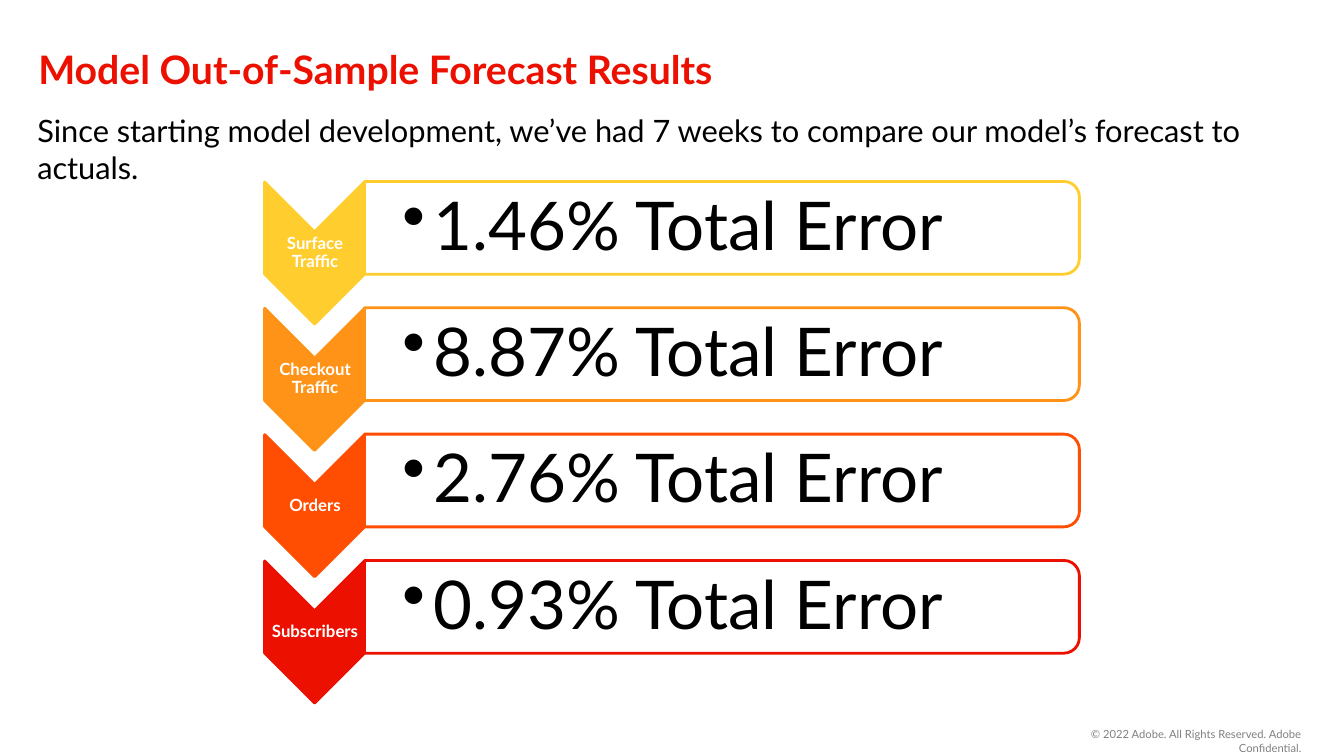
import pptx
import pptx.util
import pptx.dml.color
import pptx.enum.shapes
import pptx.enum.text
import pptx.oxml
import pptx.oxml.ns
import lxml.etree

Inches = pptx.util.Inches
Pt = pptx.util.Pt
RGBColor = pptx.dml.color.RGBColor
MSO_SHAPE = pptx.enum.shapes.MSO_SHAPE
PP_ALIGN = pptx.enum.text.PP_ALIGN
MSO_ANCHOR = pptx.enum.text.MSO_ANCHOR
qn = pptx.oxml.ns.qn

THEME = {
    "font": "Lato",
    "red": "EB1000",
    "black": "000000",
    "white": "FFFFFF",
    "gray": "808080",
    "title": 28,
    "body": 22,
    "label": 12,
    "result": 48,
    "footer": 8,
}
METRICS = [
    ("Surface Traffic", "1.46% Total Error", "FFCE2E"),
    ("Checkout Traffic", "8.87% Total Error", "FF9318"),
    ("Orders", "2.76% Total Error", "FF4E02"),
    ("Subscribers", "0.93% Total Error", THEME["red"]),
]
ROW_PITCH = 1.2533


def write_text(shape, box, text, size, color, bold=False, align=PP_ALIGN.LEFT,
               anchor=MSO_ANCHOR.MIDDLE, insets=(0.05, 0.05), spacing=1.0,
               bullet=None, indent=(0, 0)):
    shape.left, shape.top, shape.width, shape.height = map(Inches, box)
    frame = shape.text_frame
    frame.text = text
    frame.word_wrap = True
    frame.auto_size = pptx.enum.text.MSO_AUTO_SIZE.NONE
    frame.vertical_anchor = anchor
    frame.margin_left = Inches(insets[0])
    frame.margin_right = frame.margin_top = frame.margin_bottom = Inches(insets[1])
    paragraph = frame.paragraphs[0]
    paragraph.alignment = align
    paragraph.line_spacing = spacing
    paragraph.space_before = Pt(0)
    properties = paragraph._p.get_or_add_pPr()
    properties.set("marL", str(Inches(indent[0])))
    properties.set("indent", str(Inches(indent[1])))
    if bullet:
        lxml.etree.SubElement(properties, qn("a:buChar")).set("char", bullet)
    else:
        lxml.etree.SubElement(properties, qn("a:buNone"))
    font = paragraph.runs[0].font
    font.name = THEME["font"]
    font.size = Pt(size)
    font.bold = bold
    font.color.rgb = RGBColor.from_string(color)


def add_turned_shape(kind, center_x, center_y, width, height, fill, line):
    shape = slide.shapes.add_shape(
        kind, Inches(center_x - width / 2), Inches(center_y - height / 2),
        Inches(width), Inches(height))
    shape.rotation = 90
    shape.shadow.inherit = False
    shape.fill.solid()
    shape.fill.fore_color.rgb = RGBColor.from_string(fill)
    shape.line.color.rgb = RGBColor.from_string(line)
    shape.line.width = Pt(2)
    return shape


presentation = pptx.Presentation()
presentation.slide_width = Inches(13.33)
presentation.slide_height = Inches(7.5)
slide = presentation.slides.add_slide(presentation.slide_layouts[1])

write_text(slide.shapes.title, (0.33, 0.31, 12.66, 0.74),
           "Model Out-of-Sample Forecast Results",
           THEME["title"], THEME["red"], bold=True)
write_text(slide.placeholders[1], (0.31, 1.06, 12.67, 5.38),
           "Since starting model development, we’ve had 7 weeks to compare "
           "our model’s forecast to actuals.",
           THEME["body"], THEME["black"], anchor=MSO_ANCHOR.TOP, indent=(0.01, 0))

for row, (label, result, color) in enumerate(METRICS):
    offset = row * ROW_PITCH
    add_turned_shape(MSO_SHAPE.CHEVRON, 3.12, 2.51 + offset, 1.41, 0.99, color, color)
    write_text(slide.shapes.add_textbox(0, 0, 0, 0), (2.63, 2.3 + offset, 0.99, 0.42),
               label, THEME["label"], THEME["white"], bold=True,
               align=PP_ALIGN.CENTER, insets=(0.01, 0.01), spacing=0.9)

    panel = add_turned_shape(MSO_SHAPE.ROUND_2_SAME_RECTANGLE, 7.16, 2.26 + offset,
                             0.92, 7.09, THEME["white"], color)
    panel_color = panel._element.spPr.find(qn("a:solidFill")).find(qn("a:srgbClr"))
    lxml.etree.SubElement(panel_color, qn("a:alpha")).set("val", "90000")
    write_text(slide.shapes.add_textbox(0, 0, 0, 0), (3.62, 1.85 + offset, 7.04, 0.83),
               result, THEME["result"], THEME["black"], insets=(0.37, 0.03),
               spacing=0.9, bullet="•", indent=(0.31, -0.31))

write_text(slide.shapes.add_textbox(0, 0, 0, 0), (10.17, 7.17, 2.79, 0.3),
           "© 2022 Adobe. All Rights Reserved. Adobe Confidential.",
           THEME["footer"], THEME["gray"], align=PP_ALIGN.RIGHT,
           anchor=MSO_ANCHOR.TOP, insets=(0.6, 0.05))

presentation.save("out.pptx")
